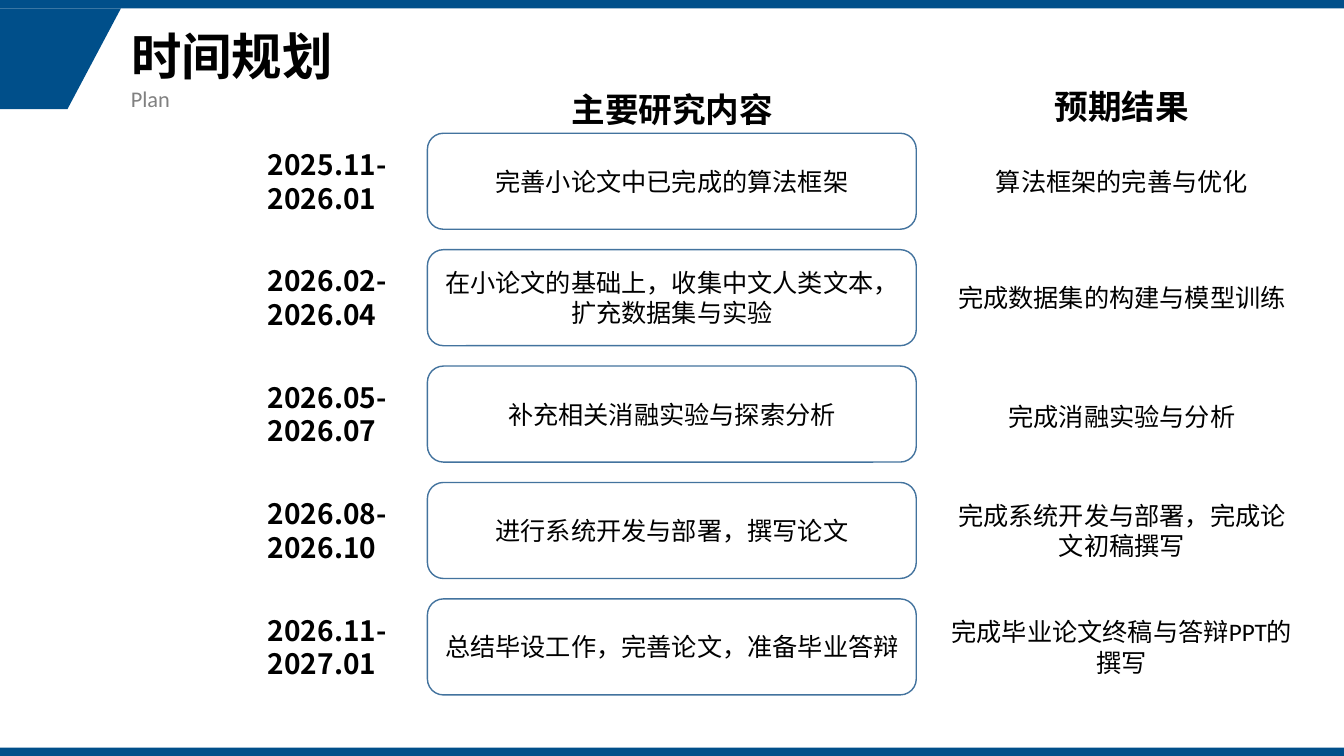
from dataclasses import dataclass
from typing import NamedTuple

from pptx import Presentation
from pptx.dml.color import RGBColor
from pptx.enum import shapes, text
from pptx.util import Pt

ALIGN = text.PP_ALIGN
ANCHOR = text.MSO_ANCHOR


@dataclass(frozen=True)
class Theme:
    blue: RGBColor = RGBColor(0x00, 0x4F, 0x8A)
    outline: RGBColor = RGBColor(0x43, 0x73, 0x9E)
    black: RGBColor = RGBColor(0, 0, 0)
    grey: RGBColor = RGBColor(0x80, 0x80, 0x80)
    latin: str = "Calibri"
    chinese: str = "Noto Sans CJK SC"
    title: float = 36
    heading: float = 24
    date: float = 20
    body: float = 18
    subtitle: float = 16


class Box(NamedTuple):
    left: float
    top: float
    width: float
    height: float

    def lengths(self) -> list:
        return [Pt(v) for v in self]


class Stage(NamedTuple):
    period: str
    work: str
    result: str
    result_height: float = 28.8
    result_shift: float = 0


T = Theme()
WIDTH, HEIGHT, BAND = 960, 540, 6
CARD_TOP, CARD_HEIGHT, PITCH = 95.2, 68.6, 83.15
DATE_HEIGHT = 55.4
RESULT_LEFT, COLUMN_WIDTH = 670.3, 262.1

STAGES = [
    Stage("2025.11-\n2026.01", "完善小论文中已完成的算法框架", "算法框架的完善与优化"),
    Stage("2026.02-2026.04", "在小论文的基础上，收集中文人类文本，扩充数据集与实验",
          "完成数据集的构建与模型训练"),
    Stage("2026.05-2026.07", "补充相关消融实验与探索分析", "完成消融实验与分析",
          result_shift=1.8),
    Stage("2026.08-2026.10", "进行系统开发与部署，撰写论文",
          "完成系统开发与部署，完成论文初稿撰写", result_height=51),
    Stage("2026.11-2027.01", "总结毕设工作，完善论文，准备毕业答辩",
          "完成毕业论文终稿与答辩PPT的撰写", result_height=51),
]


def write(sp, content: str, align=ALIGN.LEFT, anchor=ANCHOR.TOP,
          line_spacing=None, **font) -> None:
    tf = sp.text_frame
    tf.word_wrap = True
    tf.vertical_anchor = anchor
    tf.text = content
    style = {"name": T.latin, "bold": False, **font}
    color = style.pop("color", T.black)
    for p in tf.paragraphs:
        p.alignment = align
        p.line_spacing = line_spacing
        for r in p.runs:
            for key, value in style.items():
                setattr(r.font, key, value)
            r.font.color.rgb = color


def add_text(slide, box: Box, content: str, **style) -> None:
    write(slide.shapes.add_textbox(*box.lengths()), content, **style)


def fill_blue(sp) -> None:
    sp.shadow.inherit = False
    sp.fill.solid()
    sp.fill.fore_color.rgb = T.blue
    sp.line.fill.background()


def add_frame(slide) -> None:
    """Draw the corner tab and the bands along the top and bottom edges."""
    outline = slide.shapes.build_freeform(Pt(0), Pt(BAND))
    outline.add_line_segments(
        [(Pt(x), Pt(y)) for x, y in ((86.4, BAND), (48.2, 78), (0, 78))], close=True)
    fill_blue(outline.convert_to_shape())
    for top in (0, HEIGHT - BAND):
        band = Box(0, top, WIDTH, BAND)
        fill_blue(slide.shapes.add_shape(shapes.MSO_SHAPE.RECTANGLE, *band.lengths()))


def add_title(slide) -> None:
    sp = slide.shapes.title
    for key, value in zip(("left", "top", "width", "height"),
                          Box(86.4, BAND, 807.8, 72).lengths()):
        setattr(sp, key, value)
    write(sp, "时间规划", anchor=ANCHOR.MIDDLE, line_spacing=0.9,
          name=T.chinese, size=Pt(T.title), bold=True)
    add_text(slide, Box(86.4, 57.6, 561.6, 26.6), "Plan",
             size=Pt(T.subtitle), color=T.grey)


def add_card(slide, box: Box, content: str) -> None:
    sp = slide.shapes.add_shape(shapes.MSO_SHAPE.ROUNDED_RECTANGLE, *box.lengths())
    sp.shadow.inherit = False
    sp.fill.background()
    sp.line.color.rgb = T.outline
    sp.line.width = Pt(1)
    write(sp, content, align=ALIGN.CENTER, anchor=ANCHOR.MIDDLE,
          name=T.chinese, size=Pt(T.body))


def add_stage(slide, index: int, stage: Stage) -> None:
    top = CARD_TOP + index * PITCH
    middle = top + CARD_HEIGHT / 2
    add_card(slide, Box(305.3, top, 349.2, CARD_HEIGHT), stage.work)
    add_text(slide, Box(184.3, middle - DATE_HEIGHT / 2, 105.1, DATE_HEIGHT),
             stage.period, align=ALIGN.JUSTIFY,
             name=T.chinese, size=Pt(T.date), bold=True)
    result_top = middle - stage.result_height / 2 + stage.result_shift
    add_text(slide, Box(RESULT_LEFT, result_top, COLUMN_WIDTH, stage.result_height),
             stage.result, align=ALIGN.CENTER, anchor=ANCHOR.MIDDLE, size=Pt(T.body))


def main() -> None:
    prs = Presentation()
    prs.slide_width, prs.slide_height = Pt(WIDTH), Pt(HEIGHT)
    slide = prs.slides.add_slide(prs.slide_layouts[5])
    add_frame(slide)
    add_title(slide)
    for index, stage in enumerate(STAGES):
        add_stage(slide, index, stage)
    for left, top, heading in ((RESULT_LEFT, 57.6, "预期结果"),
                               (349.2, 59.8, "主要研究内容")):
        add_text(slide, Box(left, top, COLUMN_WIDTH, 36), heading,
                 align=ALIGN.CENTER, anchor=ANCHOR.MIDDLE,
                 size=Pt(T.heading), bold=True)
    prs.save("out.pptx")


if __name__ == "__main__":
    main()
